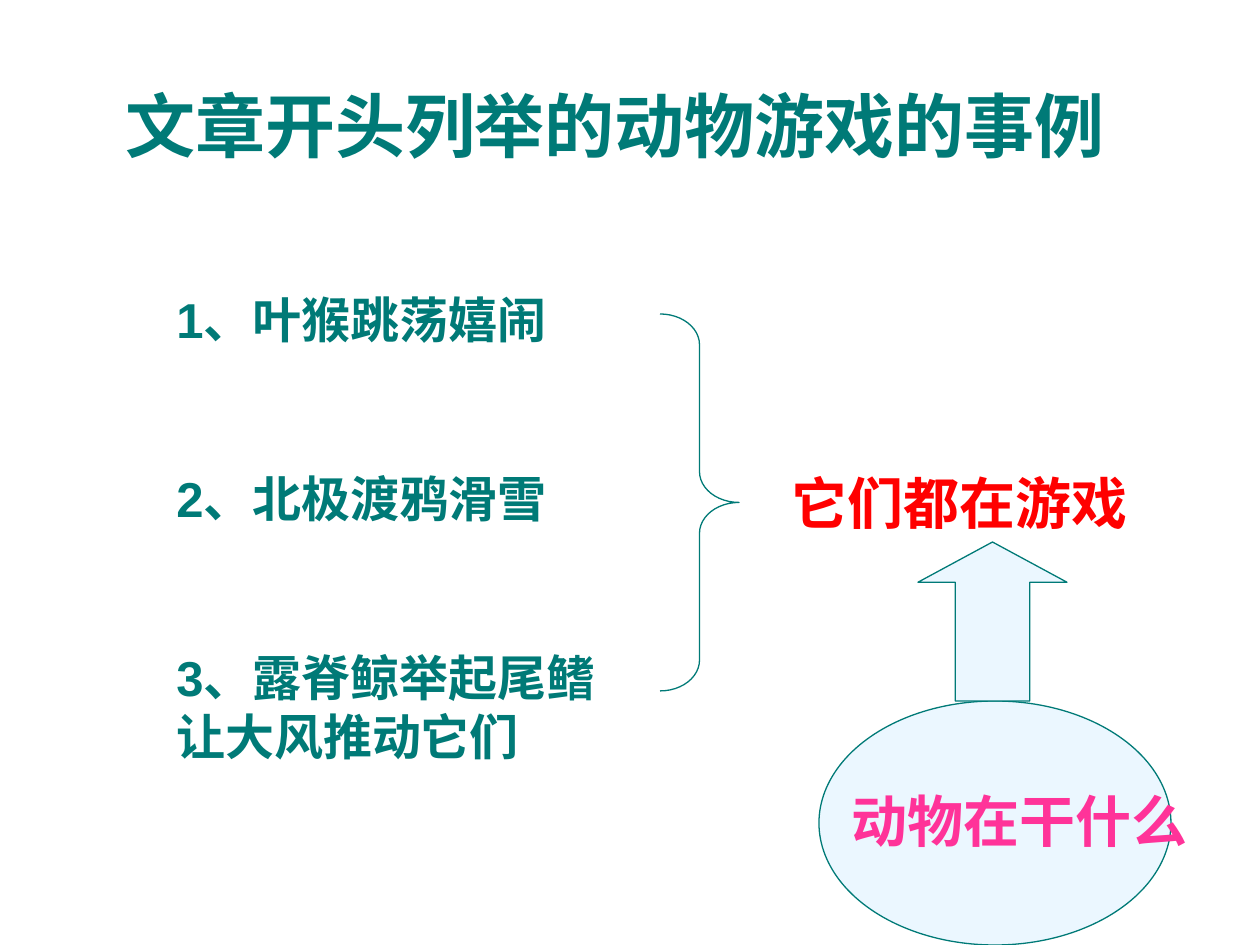
from pptx import Presentation
from pptx.dml.color import RGBColor
from pptx.enum.shapes import MSO_SHAPE
from pptx.enum.text import MSO_AUTO_SIZE
from pptx.util import Emu, Pt

COLORS = {
    "teal": "007A77",
    "red": "FF0000",
    "pink": "FF3399",
    "pale": "EBF7FF",
}
PX_PER_INCH = 126


def px(length):
    return Emu(round(length * 914400 / PX_PER_INCH))


def color(name):
    return RGBColor.from_string(COLORS[name])


class SlideBuilder:
    def __init__(self, page):
        self.page = page

    def text(self, left, top, width, height, words, size,
             ink="teal", font="Arial", wrap=True):
        box = self.page.shapes.add_textbox(px(left), px(top), px(width), px(height))
        frame = box.text_frame
        frame.word_wrap = wrap
        frame.auto_size = MSO_AUTO_SIZE.SHAPE_TO_FIT_TEXT
        para = frame.paragraphs[0]
        para.text = words
        para.font.name = font
        para.font.size = Pt(size)
        para.font.bold = True
        para.font.color.rgb = color(ink)

    def shape(self, kind, left, top, width, height, fill=None, adjustments=()):
        shape = self.page.shapes.add_shape(
            kind, px(left), px(top), px(width), px(height))
        shape.shadow.inherit = False
        for index, value in enumerate(adjustments):
            shape.adjustments[index] = value
        if fill:
            shape.fill.solid()
            shape.fill.fore_color.rgb = color(fill)
        else:
            shape.fill.background()
        shape.line.color.rgb = color("teal")
        shape.line.width = Pt(0.75)


def main():
    deck = Presentation()
    deck.slide_width = px(1260)
    deck.slide_height = px(945)
    builder = SlideBuilder(deck.slides.add_slide(deck.slide_layouts[6]))

    # Title
    builder.text(113, 76, 1081, 97, "文章开头列举的动物游戏的事例", 40,
                 font="Times New Roman")

    # Examples, evenly spaced
    examples = [
        ("1、叶猴跳荡嬉闹", 466, 72),
        ("2、北极渡鸦滑雪", 525, 72),
        ("3、露脊鲸举起尾鳍 让大风推动它们", 476, 131),
    ]
    for row, (words, width, height) in enumerate(examples):
        builder.text(164, 283 + 179 * row, width, height, words, 28)

    # Brace and what the examples share
    builder.shape(MSO_SHAPE.RIGHT_BRACE, 660, 314, 79, 377,
                  adjustments=(0.39, 0.5))
    builder.text(779, 462, 427, 81, "它们都在游戏", 32, ink="red")

    # Question and its arrow
    builder.shape(MSO_SHAPE.OVAL, 819, 701, 352, 244, fill="pale")
    builder.text(839, 780, 362, 81, "动物在干什么", 32, ink="pink",
                 font="Times New Roman", wrap=False)
    builder.shape(MSO_SHAPE.UP_ARROW, 918, 542, 149, 159, fill="pale",
                  adjustments=(0.5, 0.27))

    deck.save("out.pptx")


if __name__ == "__main__":
    main()
